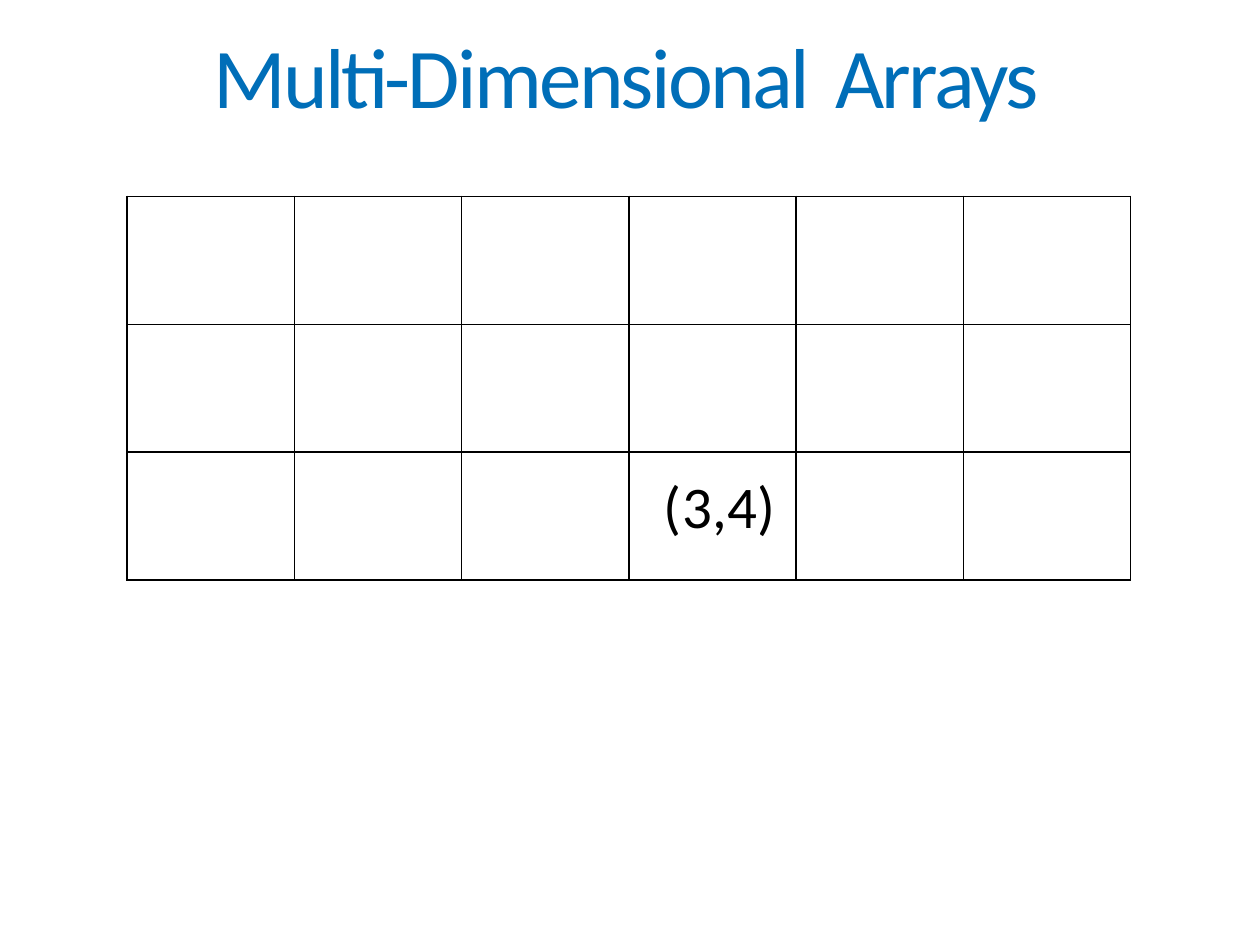
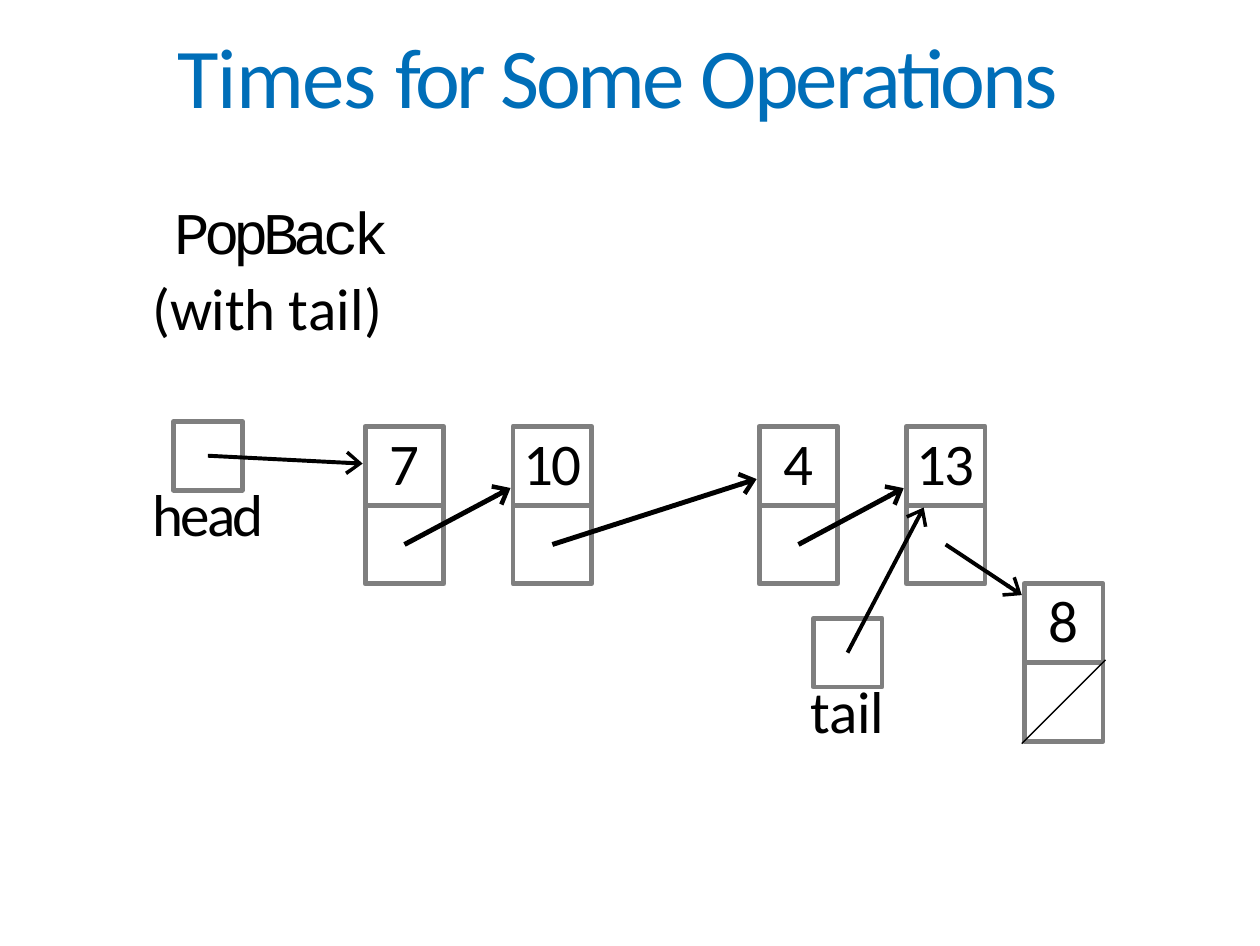
from pptx import Presentation
from pptx.dml.color import RGBColor
from pptx.enum.shapes import MSO_CONNECTOR, MSO_SHAPE
from pptx.enum.text import MSO_ANCHOR, PP_ALIGN
from pptx.oxml.ns import qn
from pptx.util import Pt
from lxml.etree import SubElement

SLIDE_WIDTH, SLIDE_HEIGHT = 363, 272.5
BLUE, BLACK, GRAY = "006EB8", "000000", "7F7F7F"
SANS, MONO = "Calibri", "Courier New"
TITLE_SIZE, BODY_SIZE = 24.5, 17
TITLE_TOP, TITLE_HEIGHT = 6.7, 31

# Text runs are (text, letter spacing in points).
ARRAY_TITLE = [("Multi-Dimensional", -0.76), (" ", 1.6), ("Arrays", -0.7)]
ARRAY_TITLE_LEFT = 61.4
ARRAY_ROWS, ARRAY_COLUMNS = 3, 6
ARRAY_LEFT, ARRAY_TOP = 36.6, 56.6
ARRAY_CELL_WIDTH, ARRAY_CELL_HEIGHT = 48.2, 36.85
MARKED_ROW, MARKED_COLUMN = 3, 4

TIMES_TITLE = [("Times ", -0.3), ("for ", -1.2), ("Some ", -0.95), ("Operations", -0.8)]
TIMES_TITLE_LEFT = 51.1
OPERATION = [("PopBack", -1.65)]
OPERATION_NOTE = [("(with ", -0.1), ("tail)", 0.1)]

NODE_SIDE, POINTER_SIDE = 22.7, 19.8
BOX_LINE, SLASH_LINE = 1.42, 0.4
# value: (left, top)
NODES = {
    "7": (105.2, 122.8),
    "10": (147.8, 122.8),
    "4": (218.7, 122.8),
    "13": (261.1, 122.8),
    "8": (295.1, 168.1),
}
# label: (left, top, letter spacing)
POINTERS = {"head": (50, 121.4, -0.8), "tail": (234.3, 178.1, -0.1)}
# (from, to, line width)
ARROWS = [
    ("7", "10", 1.42),
    ("10", "4", 1.42),
    ("4", "13", 1.42),
    ("head", "7", 1.13),
    ("tail", "13", 1.13),
    ("13", "8", 1.13),
]
LAST_NODE = "8"


def color(hex_string):
    return RGBColor.from_string(hex_string)


def write(paragraph, runs, size=BODY_SIZE, font=SANS, ink=BLACK, align=PP_ALIGN.LEFT):
    paragraph.alignment = align
    paragraph.font.size = Pt(size)
    paragraph.font.name = font
    paragraph.font.color.rgb = color(ink)
    for text, spacing in runs:
        run = paragraph.add_run()
        run.text = text
        run.font._element.set("spc", str(round(spacing * 100)))


def clear_margins(holder):
    holder.margin_left = holder.margin_top = holder.margin_right = holder.margin_bottom = 0


def add_text_frame(slide, left, top, width, height):
    frame = slide.shapes.add_textbox(Pt(left), Pt(top), Pt(width), Pt(height)).text_frame
    clear_margins(frame)
    frame.word_wrap = True
    return frame


def add_titled_slide(deck, title, left):
    slide = deck.slides.add_slide(deck.slide_layouts[6])
    frame = add_text_frame(slide, left, TITLE_TOP, SLIDE_WIDTH - 2 * left + 20, TITLE_HEIGHT)
    write(frame.paragraphs[0], title, TITLE_SIZE, ink=BLUE)
    return slide


def add_square(slide, left, top, side):
    square = slide.shapes.add_shape(MSO_SHAPE.RECTANGLE, Pt(left), Pt(top), Pt(side), Pt(side))
    square.shadow.inherit = False
    square.fill.background()
    square.line.color.rgb = color(GRAY)
    square.line.width = Pt(BOX_LINE)
    return square


def add_line(slide, start, end, width, arrow=False):
    line = slide.shapes.add_connector(MSO_CONNECTOR.STRAIGHT, *map(Pt, start + end))
    line.line.color.rgb = color(BLACK)
    line.line.width = Pt(width)
    if arrow:
        SubElement(line.line._get_or_add_ln(), qn("a:tailEnd"), type="arrow", w="med", len="sm")
    SubElement(line._element.spPr, qn("a:effectLst"))


def set_borders(cell, width=0.5):
    properties = cell._tc.get_or_add_tcPr()
    for position, side in enumerate(("a:lnL", "a:lnR", "a:lnT", "a:lnB")):
        border = SubElement(properties, qn(side), w=str(Pt(width)))
        fill = SubElement(border, qn("a:solidFill"))
        SubElement(fill, qn("a:srgbClr"), val=BLACK)
        properties.insert(position, border)


def add_array(slide):
    table = slide.shapes.add_table(
        ARRAY_ROWS, ARRAY_COLUMNS, Pt(ARRAY_LEFT), Pt(ARRAY_TOP),
        Pt(ARRAY_COLUMNS * ARRAY_CELL_WIDTH), Pt(ARRAY_ROWS * ARRAY_CELL_HEIGHT),
    ).table
    table.first_row = table.horz_banding = False
    for column in table.columns:
        column.width = Pt(ARRAY_CELL_WIDTH)
    for row in table.rows:
        row.height = Pt(ARRAY_CELL_HEIGHT)
    for cell in table.iter_cells():
        clear_margins(cell)
        cell.fill.background()
        set_borders(cell)
    marked = table.cell(MARKED_ROW - 1, MARKED_COLUMN - 1)
    marked.margin_left, marked.margin_top = Pt(10.1), Pt(5.8)
    write(marked.text_frame.paragraphs[0], [(f"({MARKED_ROW},{MARKED_COLUMN})", 0.1)])


def add_operation(slide):
    frame = add_text_frame(slide, 41.8, 56.3, 70.6, 44)
    name = frame.paragraphs[0]
    name._p.get_or_add_pPr().set("marL", str(Pt(7.9)))
    write(name, OPERATION, font=MONO, align=PP_ALIGN.CENTER)
    note = frame.add_paragraph()
    note.space_before = Pt(1.6)
    write(note, OPERATION_NOTE, align=PP_ALIGN.CENTER)


def add_node(slide, value, left, top):
    frame = add_square(slide, left, top, NODE_SIDE).text_frame
    clear_margins(frame)
    frame.word_wrap = True
    frame.vertical_anchor = MSO_ANCHOR.TOP
    frame.paragraphs[0].line_spacing = Pt(20.4)
    write(frame.paragraphs[0], [(value, -0.6)], align=PP_ALIGN.CENTER)
    add_square(slide, left, top + NODE_SIDE, NODE_SIDE)


def add_pointer(slide, label, left, top, spacing):
    add_square(slide, left, top, POINTER_SIDE)
    width = 40
    frame = add_text_frame(
        slide, left + (POINTER_SIDE - width) / 2, top + POINTER_SIDE - 3.6, width, 21
    )
    write(frame.paragraphs[0], [(label, spacing)], align=PP_ALIGN.CENTER)


def arrow_start(source):
    if source in POINTERS:
        left, top, _ = POINTERS[source]
        return left + POINTER_SIDE / 2, top + POINTER_SIDE / 2
    left, top = NODES[source]
    return left + NODE_SIDE / 2, top + NODE_SIDE * 1.5


def arrow_end(start, target):
    """Aim at the centre of the target's value square and stop at its edge."""
    left, top = NODES[target]
    dx = left + NODE_SIDE / 2 - start[0]
    dy = top + NODE_SIDE / 2 - start[1]
    reach = (NODE_SIDE + BOX_LINE) / 2
    share = 1 - reach / max(abs(dx), abs(dy))
    return start[0] + dx * share, start[1] + dy * share


def add_linked_list(slide):
    for value, place in NODES.items():
        add_node(slide, value, *place)
    for label, place in POINTERS.items():
        add_pointer(slide, label, *place)
    for source, target, width in ARROWS:
        start = arrow_start(source)
        add_line(slide, start, arrow_end(start, target), width, arrow=True)
    x, y = arrow_start(LAST_NODE)
    half = (NODE_SIDE + BOX_LINE) / 2
    add_line(slide, (x - half, y + half), (x + half, y - half), SLASH_LINE)


def main():
    deck = Presentation()
    deck.slide_width, deck.slide_height = Pt(SLIDE_WIDTH), Pt(SLIDE_HEIGHT)
    add_array(add_titled_slide(deck, ARRAY_TITLE, ARRAY_TITLE_LEFT))
    times = add_titled_slide(deck, TIMES_TITLE, TIMES_TITLE_LEFT)
    add_operation(times)
    add_linked_list(times)
    deck.save("out.pptx")


if __name__ == "__main__":
    main()
